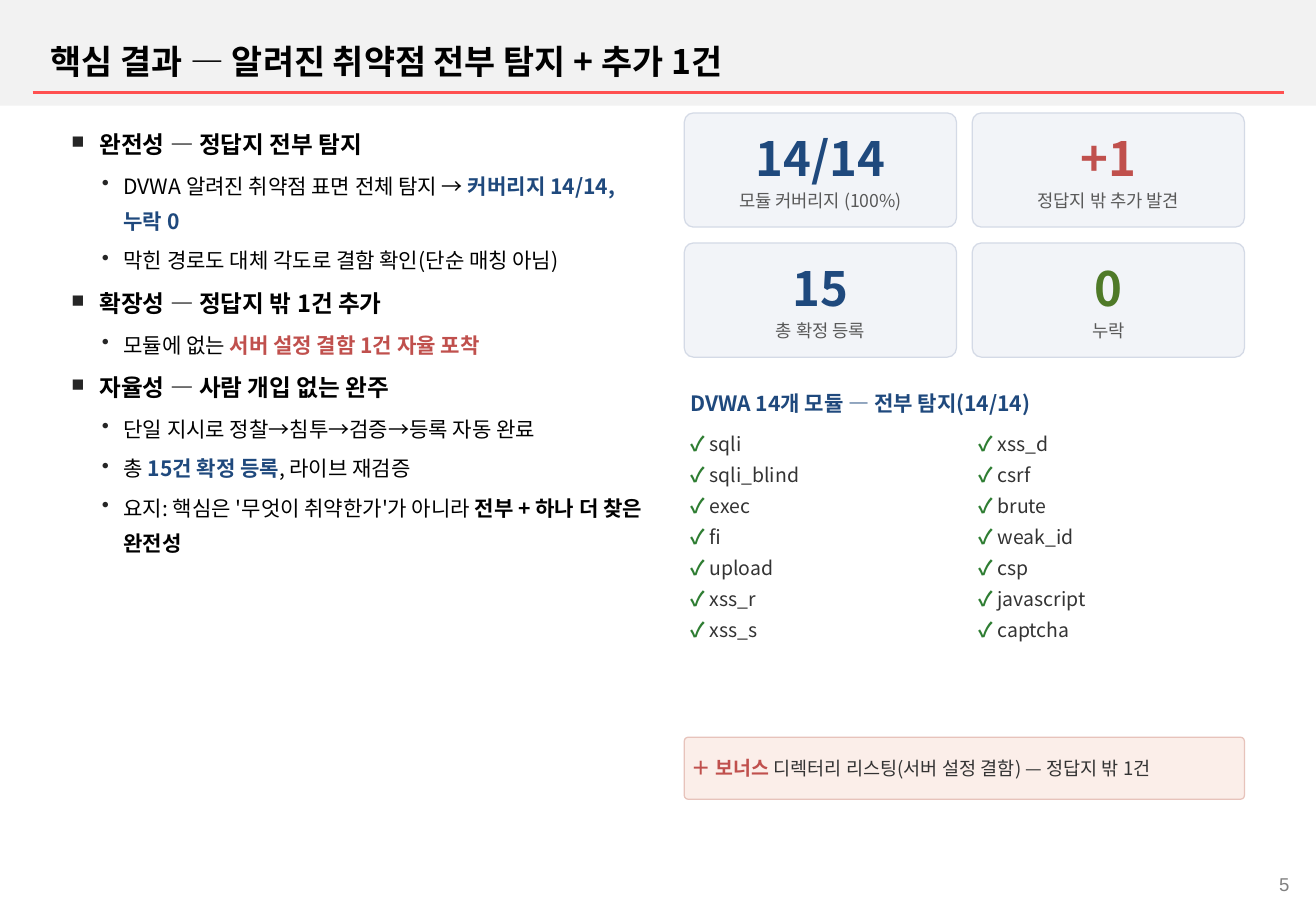
from dataclasses import dataclass

from lxml.etree import SubElement
from pptx import Presentation
from pptx.dml.color import RGBColor
from pptx.enum.shapes import MSO_CONNECTOR as Connector, MSO_SHAPE as Shape
from pptx.enum.text import MSO_ANCHOR as Anchor, PP_ALIGN as Align
from pptx.oxml.ns import qn
from pptx.util import Inches, Pt


@dataclass(frozen=True)
class Theme:
    font: str = "Noto Sans CJK KR"
    number_font: str = "Arial"
    # Colours
    black: str = "000000"
    navy: str = "1F497D"
    red: str = "C0504D"
    olive: str = "4F7A28"
    check: str = "2E7D32"
    dark: str = "333333"
    caption: str = "595959"
    number: str = "808080"
    bullet: str = "262626"
    band: str = "F2F2F2"
    rule: str = "FF5050"
    card: str = "F2F4F8"
    card_edge: str = "D4DAE6"
    bonus: str = "FBEEE9"
    bonus_edge: str = "E7C3BB"
    # Type sizes
    title_size: float = 20
    head_size: float = 14
    body_size: float = 12.5
    figure_size: float = 28
    caption_size: float = 10.5
    check_size: float = 12
    item_size: float = 11.5
    small_size: float = 11


class Page:
    """One slide on a grid of 100 columns by 100 rows."""

    def __init__(self, deck, theme):
        self.theme = theme
        self.column = deck.slide_width / 100
        self.row = deck.slide_height / 100
        self.shapes = deck.slides.add_slide(deck.slide_layouts[6]).shapes

    def place(self, left, top, width, height):
        return (round(left * self.column), round(top * self.row),
                round(width * self.column), round(height * self.row))

    def panel(self, area, fill, edge=None, corner=None):
        kind = Shape.RECTANGLE if corner is None else Shape.ROUNDED_RECTANGLE
        box = self.shapes.add_shape(kind, *self.place(*area))
        box.shadow.inherit = False
        box.fill.solid()
        box.fill.fore_color.rgb = RGBColor.from_string(fill)
        if corner is not None:
            box.adjustments[0] = corner
        if edge:
            box.line.color.rgb = RGBColor.from_string(edge)
            box.line.width = Pt(0.75)
        else:
            box.line.fill.background()
        return box

    def rule(self, left, right, top):
        x, y, width, _ = self.place(left, top, right - left, 0)
        line = self.shapes.add_connector(Connector.STRAIGHT, x, y, x + width, y)
        line.line.color.rgb = RGBColor.from_string(self.theme.rule)
        line.line.width = Pt(1.5)
        SubElement(line._element.spPr, qn("a:effectLst"))

    def text_box(self, area):
        return self.shapes.add_textbox(*self.place(*area))

    def fill_text(self, box, paragraphs, align=Align.LEFT, anchor=Anchor.TOP,
                  tight=False, after=0, font=None):
        """Each paragraph is a list of (text, size, colour, bold) spans."""
        frame = box.text_frame
        frame.word_wrap = True
        frame.vertical_anchor = anchor
        if tight:
            frame.margin_left = frame.margin_right = Inches(0.05)
            frame.margin_top = frame.margin_bottom = Inches(0.02)
        for index, spans in enumerate(paragraphs):
            para = frame.add_paragraph() if index else frame.paragraphs[0]
            para.alignment = align
            if after:
                para.space_after = Pt(after)
            for text, size, colour, bold in spans:
                span = para.add_run()
                span.text = text
                span.font.size = Pt(size)
                span.font.bold = bold
                span.font.color.rgb = RGBColor.from_string(colour)
                span.font.name = font or self.theme.font
                SubElement(span.font._element, qn("a:ea"),
                           typeface=font or self.theme.font)
        return frame.paragraphs

    def bullet(self, para, level, size, first):
        mark, indent, hang = (("■", 0.23, 0.23), ("•", 0.43, 0.18))[level]
        para.level = level
        props = para._p.get_or_add_pPr()
        props.set("marL", str(Inches(indent)))
        props.set("indent", str(-Inches(hang)))
        colour = SubElement(props, qn("a:buClr"))
        SubElement(colour, qn("a:srgbClr"), val=self.theme.bullet)
        if level == 0:
            SubElement(props, qn("a:buSzPct"), val="75000")
        SubElement(props, qn("a:buChar"), char=mark)
        para.line_spacing = 1.4
        if not first:
            para.space_before = Pt(size * 0.2)

    def outline(self, area, entries):
        """Each entry is (level, [(text, colour, bold), ...])."""
        sizes = (self.theme.head_size, self.theme.body_size)
        paragraphs = self.fill_text(self.text_box(area), [
            [(text, sizes[level], colour, bold) for text, colour, bold in spans]
            for level, spans in entries])
        for index, (para, (level, _)) in enumerate(zip(paragraphs, entries)):
            self.bullet(para, level, sizes[level], index == 0)

    def card(self, area, figure, colour, caption):
        theme = self.theme
        box = self.panel(area, theme.card, theme.card_edge, corner=0.08)
        paragraphs = self.fill_text(box, [
            [(figure, theme.figure_size, colour, True)],
            [(caption, theme.caption_size, theme.caption, False)],
        ], Align.CENTER, Anchor.MIDDLE, tight=True)
        paragraphs[0].space_after = Pt(2)

    def checklist(self, area, items):
        theme = self.theme
        self.fill_text(self.text_box(area), [
            [("✓ ", theme.check_size, theme.check, True),
             (item, theme.item_size, theme.dark, False)]
            for item in items], tight=True, after=4)


def main():
    deck = Presentation()
    deck.slide_width, deck.slide_height = Inches(10.83), Inches(7.5)
    theme = Theme()
    page = Page(deck, theme)

    # Header and page number
    page.panel((0, 0, 100, 11.6), theme.band)
    page.rule(2.49, 97.6, 10.13)
    page.fill_text(page.text_box((2.95, 3.87, 75.16, 6.27)), [
        [("핵심 결과 — 알려진 취약점 전부 탐지 + 추가 1건",
          theme.title_size, theme.black, True)]])
    page.fill_text(page.text_box((74.15, 95.2, 24.75, 3.87)),
                   [[("5", theme.small_size, theme.number, False)]],
                   Align.RIGHT, font=theme.number_font)

    # Findings
    black, navy, red = theme.black, theme.navy, theme.red
    page.outline((4.52, 12.4, 45.61, 75.47), [
        (0, [("완전성 — 정답지 전부 탐지", black, True)]),
        (1, [("DVWA 알려진 취약점 표면 전체 탐지 → ", black, False),
             ("커버리지 14/14, 누락 0", navy, True)]),
        (1, [("막힌 경로도 대체 각도로 결함 확인(단순 매칭 아님)", black, False)]),
        (0, [("확장성 — 정답지 밖 1건 추가", black, True)]),
        (1, [("모듈에 없는 ", black, False),
             ("서버 설정 결함 1건 자율 포착", red, True)]),
        (0, [("자율성 — 사람 개입 없는 완주", black, True)]),
        (1, [("단일 지시로 정찰→침투→검증→등록 자동 완료", black, False)]),
        (1, [("총 ", black, False), ("15건 확정 등록", navy, True),
             (", 라이브 재검증", black, False)]),
        (1, [("요지: 핵심은 '무엇이 취약한가'가 아니라 ", black, False),
             ("전부 + 하나 더 찾은 완전성", black, True)]),
    ])

    # Key figures, two by two
    left, top, width, height = 52, 12.4, 20.68, 12.53
    column_step, row_step = 21.88, 14.27
    full_width = column_step + width
    figures = [("14/14", navy, "모듈 커버리지 (100%)"),
               ("+1", red, "정답지 밖 추가 발견"),
               ("15", navy, "총 확정 등록"),
               ("0", theme.olive, "누락")]
    for index, figure in enumerate(figures):
        row, column = divmod(index, 2)
        page.card((left + column * column_step, top + row * row_step,
                   width, height), *figure)

    # Module checklist
    page.fill_text(page.text_box((left, 41.87, full_width, 4.8)), [
        [("DVWA 14개 모듈 — 전부 탐지(14/14)", theme.body_size, navy, True)]],
        anchor=Anchor.MIDDLE, tight=True)
    modules = [
        ("sqli", "sqli_blind", "exec", "fi", "upload", "xss_r", "xss_s"),
        ("xss_d", "csrf", "brute", "weak_id", "csp", "javascript", "captcha")]
    for column, items in enumerate(modules):
        page.checklist((left + column * column_step, 47.07, width, 32.8), items)

    # Bonus finding
    bonus = page.panel((left, 80.93, full_width, 6.8),
                       theme.bonus, theme.bonus_edge, corner=0.06)
    page.fill_text(bonus, [
        [("＋ 보너스 ", theme.item_size, red, True),
         ("디렉터리 리스팅(서버 설정 결함) — 정답지 밖 1건",
          theme.small_size, theme.dark, False)]],
        anchor=Anchor.MIDDLE, tight=True)

    deck.save("out.pptx")


if __name__ == "__main__":
    main()
